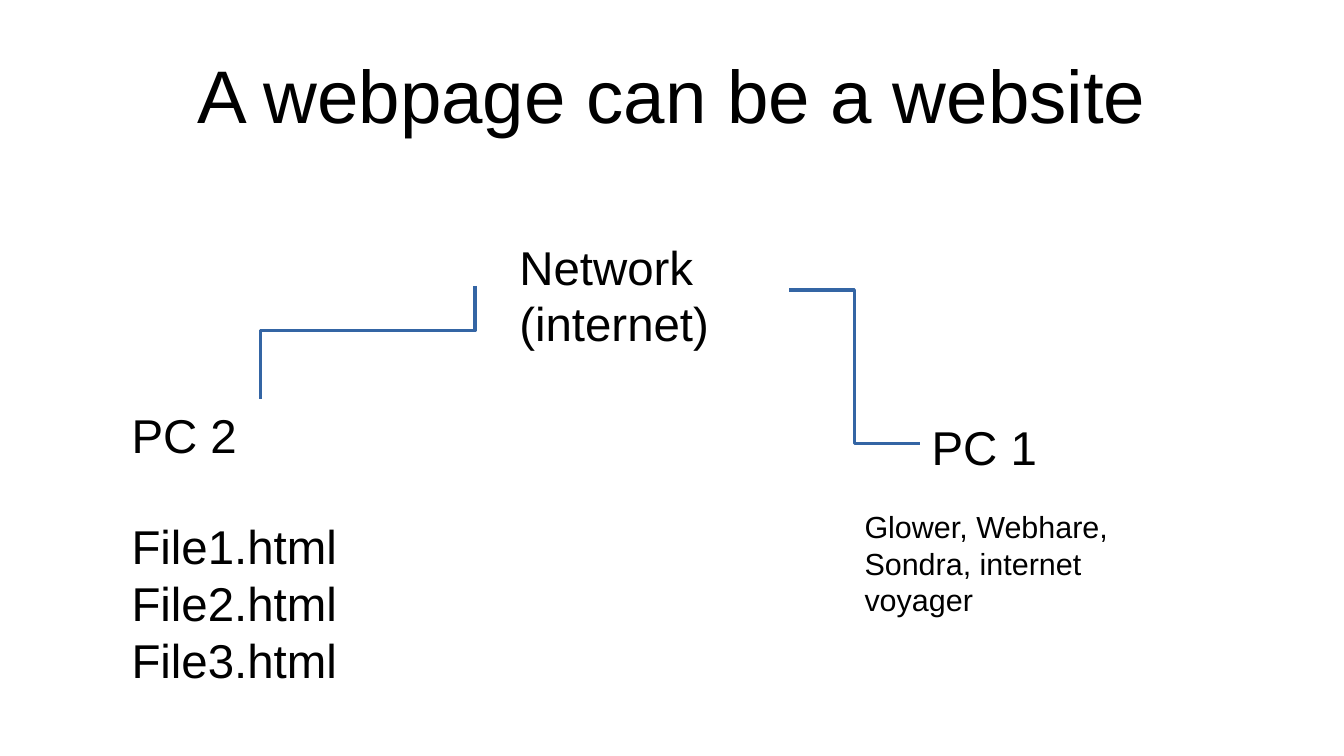
from lxml import etree
from pptx import Presentation
from pptx.dml.color import RGBColor
from pptx.enum.shapes import MSO_CONNECTOR
from pptx.enum.text import MSO_ANCHOR, PP_ALIGN
from pptx.oxml.ns import qn
from pptx.util import Inches, Pt

BLACK = RGBColor(0x00, 0x00, 0x00)
BLUE = RGBColor(0x34, 0x65, 0xA4)
ELBOW = MSO_CONNECTOR.ELBOW
MIDDLE = MSO_ANCHOR.MIDDLE
CENTER = PP_ALIGN.CENTER

prs = Presentation()
prs.slide_width = Inches(11.02)
prs.slide_height = Inches(6.2)
slide = prs.slides.add_slide(prs.slide_layouts[6])


def add_label(left, top, width, height, size, lines):
    frame = slide.shapes.add_textbox(
        Inches(left), Inches(top), Inches(width), Inches(height)).text_frame
    frame.word_wrap = True
    frame.text = "\n".join(lines)
    for paragraph in frame.paragraphs:
        paragraph.font.name = "Arial"
        paragraph.font.size = Pt(size)
        paragraph.font.color.rgb = BLACK
    return frame


title = add_label(0.55, 0.25, 9.92, 1.04, 44, ["A webpage can be a website"])
title.margin_left = title.margin_right = title.margin_top = title.margin_bottom = 0
title.vertical_anchor = MIDDLE
title.paragraphs[0].alignment = CENTER

add_label(7.54, 3.38, 2.31, 0.53, 28, ["PC 1"])
add_label(4.16, 1.9, 2.31, 0.97, 28, ["Network (internet)"])
add_label(6.99, 4.12, 2.42, 0.94, 18, ["Glower, Webhare, Sondra, internet voyager"])
server = add_label(0.98, 3.28, 2.31, 2.7, 28,
                   ["PC 2", "File1.html", "File2.html", "File3.html"])
server.paragraphs[1].space_before = Pt(32)

network_links = [
    (6.47, 2.38, 7.54, 3.64, 0, 50000),
    (2.55, 1.93, 3.48, 3.69, 90, 39500),
]
for x1, y1, x2, y2, degrees, bend in network_links:
    link = slide.shapes.add_connector(
        ELBOW, Inches(x1), Inches(y1), Inches(x2), Inches(y2))
    link.line.color.rgb = BLUE
    link.line.width = Pt(0)
    properties = link._element.spPr
    etree.SubElement(properties, qn("a:effectLst"))
    properties.find(qn("a:xfrm")).set("rot", str(degrees * 60000))
    adjustments = properties.find(qn("a:prstGeom")).find(qn("a:avLst"))
    etree.SubElement(adjustments, qn("a:gd"), name="adj1", fmla=f"val {bend}")

prs.save("out.pptx")
